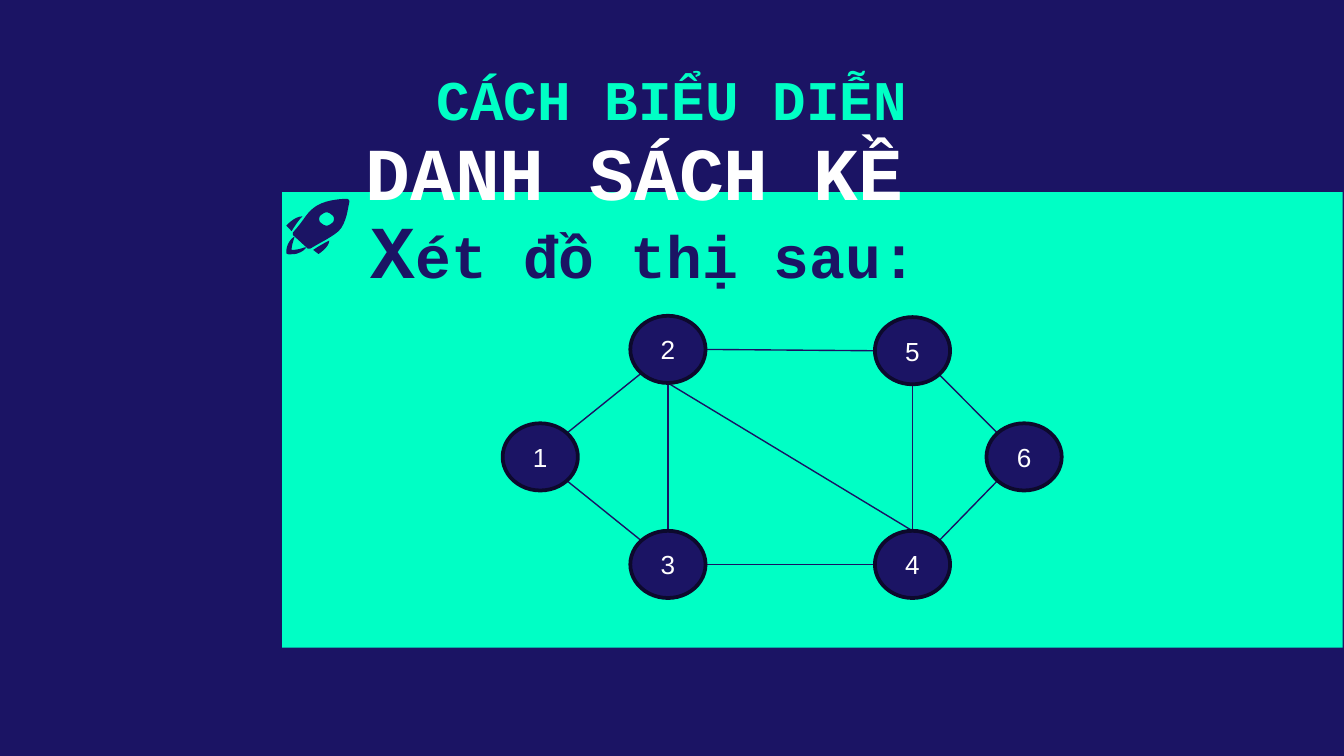
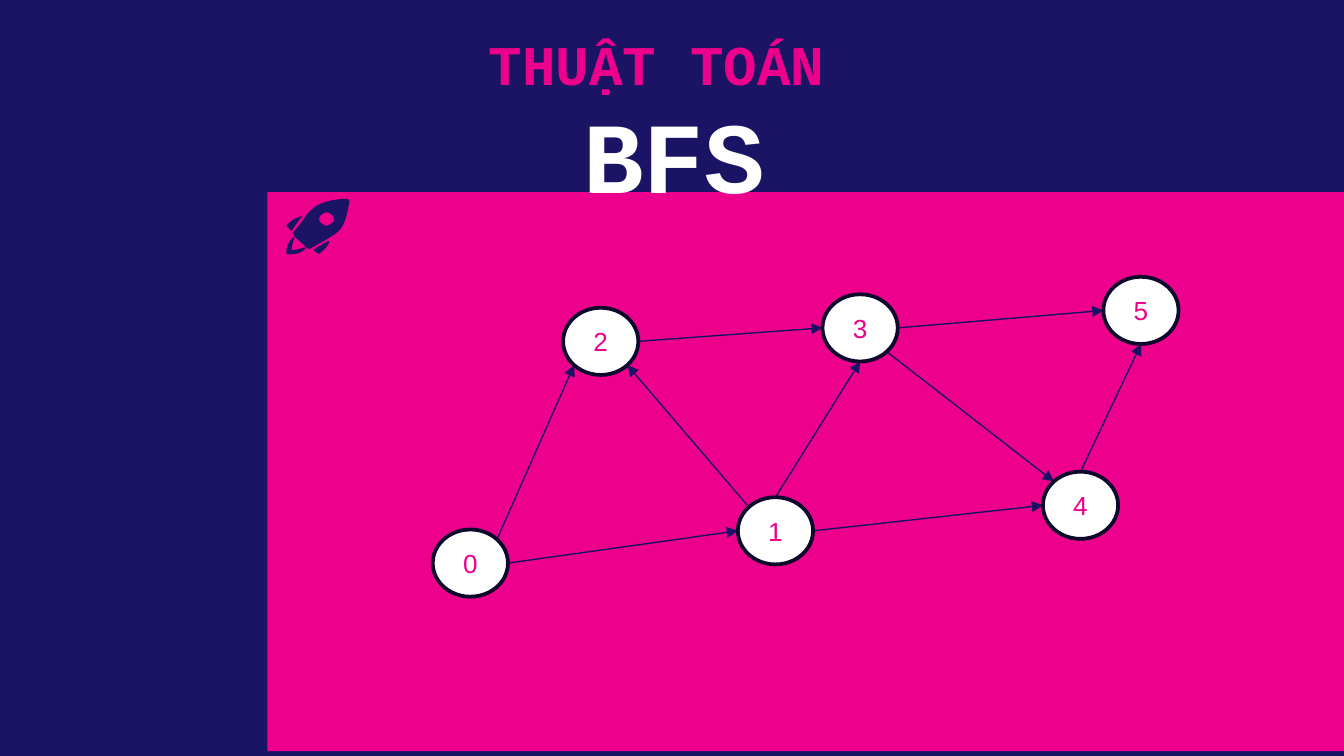
import math

import pptx
import pptx.dml.color
import pptx.enum.shapes
import pptx.enum.text
import pptx.util
from lxml import etree
from pptx.oxml.ns import qn

Inches = pptx.util.Inches
Pt = pptx.util.Pt
RGBColor = pptx.dml.color.RGBColor
PP_ALIGN = pptx.enum.text.PP_ALIGN
MSO_ANCHOR = pptx.enum.text.MSO_ANCHOR
MSO_SHAPE = pptx.enum.shapes.MSO_SHAPE

# Colours and fonts
NAVY = RGBColor(0x1B, 0x14, 0x64)
EDGE_NAVY = RGBColor(0x19, 0x12, 0x64)
OUTLINE = RGBColor(0x0C, 0x09, 0x2C)
MINT = RGBColor(0x00, 0xFF, 0xC5)
PINK = RGBColor(0xEC, 0x00, 0x8C)
WHITE = RGBColor(0xFF, 0xFF, 0xFF)
HEADING_FONT = "Courier New"
NODE_FONT = "Arial"

# Graph geometry: node size and the points where edges meet a node
NODE_W, NODE_H = 0.56, 0.5
DIAGONAL = math.sqrt(0.5)
SITES = {
    "N": (0, -1), "S": (0, 1), "E": (1, 0), "W": (-1, 0),
    "NE": (DIAGONAL, -DIAGONAL), "NW": (-DIAGONAL, -DIAGONAL),
    "SE": (DIAGONAL, DIAGONAL), "SW": (-DIAGONAL, DIAGONAL),
}

# Rocket outlines: a start point, then lines (2 numbers) and curves (6 numbers)
UPPER_FIN = [[(2.25, 1.61), (2.19, 1.61, 2.13, 1.68, 2.13, 1.68), (2.17, 1.72),
              (2.2, 1.67, 2.23, 1.63, 2.25, 1.61)]]
LOWER_FIN = [[(2.45, 1.79), (2.43, 1.8, 2.39, 1.82, 2.33, 1.86), (2.37, 1.89),
              (2.37, 1.89, 2.45, 1.84, 2.45, 1.79)]]
FLAME = [[(2.19, 1.76), (2.15, 1.79, 2.13, 1.83, 2.13, 1.88),
          (2.13, 1.9, 2.17, 1.89, 2.2, 1.89), (2.23, 1.88, 2.26, 1.87, 2.28, 1.84),
          (2.27, 1.84), (2.24, 1.85, 2.21, 1.86, 2.17, 1.86),
          (2.17, 1.83, 2.18, 1.8, 2.19, 1.77)]]
HULL = [[(2.43, 1.58), (2.44, 1.58, 2.46, 1.59, 2.47, 1.6),
         (2.49, 1.61, 2.49, 1.65, 2.47, 1.66), (2.46, 1.67, 2.44, 1.68, 2.43, 1.68),
         (2.42, 1.68, 2.4, 1.67, 2.39, 1.66), (2.37, 1.65, 2.37, 1.61, 2.39, 1.6),
         (2.4, 1.59, 2.42, 1.58, 2.43, 1.58)],
        [(2.58, 1.48), (2.53, 1.48, 2.4, 1.49, 2.33, 1.55),
         (2.27, 1.6, 2.27, 1.63, 2.18, 1.73), (2.18, 1.75), (2.29, 1.85),
         (2.31, 1.85), (2.41, 1.79, 2.46, 1.77, 2.52, 1.72),
         (2.58, 1.66, 2.59, 1.54, 2.6, 1.5), (2.6, 1.49, 2.59, 1.48, 2.58, 1.48)]]
ROCKET = [UPPER_FIN, LOWER_FIN, FLAME, HULL]


def style_font(font, size, color, name=HEADING_FONT, bold=True):
    font.name, font.size, font.bold = name, Pt(size), bold
    font.color.rgb = color


def place(shape, left, top, width, height):
    shape.left, shape.top = Inches(left), Inches(top)
    shape.width, shape.height = Inches(width), Inches(height)


def prepare_frame(shape, margin_y=0, anchor=MSO_ANCHOR.BOTTOM):
    frame = shape.text_frame
    frame.auto_size = pptx.enum.text.MSO_AUTO_SIZE.NONE
    frame.word_wrap = True
    frame.vertical_anchor = anchor
    frame.margin_left = frame.margin_right = Inches(0.1)
    frame.margin_top = frame.margin_bottom = Inches(margin_y)
    return frame


def fill_heading(placeholder, text, box, size, color, align, **frame_options):
    place(placeholder, *box)
    paragraph = prepare_frame(placeholder, **frame_options).paragraphs[0]
    paragraph.text = text
    paragraph.alignment = align
    paragraph.space_before = Pt(0)
    paragraph.line_spacing = 1.0
    style_font(paragraph.font, size, color)


def add_band(slide, box, color):
    band = slide.shapes.add_shape(MSO_SHAPE.RECTANGLE, *map(Inches, box))
    band.shadow.inherit = False
    band.fill.solid()
    band.fill.fore_color.rgb = color
    band.line.fill.background()
    # Behind the headings
    slide.shapes._spTree.insert(2, band._element)


def trace(contour, steps=8):
    """Turn lines and cubic curves into a list of points."""
    points = [contour[0]]
    for segment in contour[1:]:
        if len(segment) == 2:
            points.append(segment)
            continue
        xs, ys = ([points[-1][axis], *segment[axis::2]] for axis in (0, 1))
        for step in range(1, steps + 1):
            t = step / steps
            weights = ((1 - t) ** 3, 3 * t * (1 - t) ** 2, 3 * t * t * (1 - t), t ** 3)
            points.append(tuple(sum(w * v for w, v in zip(weights, values))
                                for values in (xs, ys)))
    return [(Inches(x), Inches(y)) for x, y in points]


def add_rocket(slide):
    rocket = slide.shapes.add_group_shape()
    for contours in ROCKET:
        first, *others = map(trace, contours)
        builder = rocket.shapes.build_freeform(*first[0])
        builder.add_line_segments(first[1:], close=True)
        for points in others:
            builder.move_to(*points[0])
            builder.add_line_segments(points[1:], close=True)
        part = builder.convert_to_shape()
        part.shadow.inherit = False
        part.fill.solid()
        part.fill.fore_color.rgb = NAVY
        part.line.fill.background()


def add_node(graph, label, left, top, fill, text_color):
    node = graph.shapes.add_shape(MSO_SHAPE.OVAL, *map(Inches, (left, top, NODE_W, NODE_H)))
    node.shadow.inherit = False
    node.fill.solid()
    node.fill.fore_color.rgb = fill
    node.line.color.rgb = OUTLINE
    node.line.width = Pt(2)
    node.text_frame.vertical_anchor = MSO_ANCHOR.MIDDLE
    paragraph = node.text_frame.paragraphs[0]
    paragraph.text = label
    paragraph.alignment = PP_ALIGN.CENTER
    style_font(paragraph.font, 14, text_color, NODE_FONT, bold=False)


def site_point(corner, site):
    dx, dy = SITES[site]
    return (Inches(corner[0] + NODE_W / 2 * (1 + dx)),
            Inches(corner[1] + NODE_H / 2 * (1 + dy)))


def add_edge(graph, start, end, directed):
    edge = graph.shapes.add_connector(pptx.enum.shapes.MSO_CONNECTOR.STRAIGHT, *start, *end)
    edge.line.color.rgb = EDGE_NAVY
    edge.line.width = Pt(0.75)
    if directed:
        etree.SubElement(edge.line._get_or_add_ln(), qn("a:tailEnd"), type="triangle")
    etree.SubElement(edge._element.spPr, qn("a:effectLst"))


def add_graph(slide, nodes, edges, fill, text_color, directed=False):
    """Edges read "node site node site"."""
    graph = slide.shapes.add_group_shape()
    for edge in edges:
        source, out_site, target, in_site = edge.split()
        add_edge(graph, site_point(nodes[source], out_site),
                 site_point(nodes[target], in_site), directed)
    for label, corner in nodes.items():
        add_node(graph, label, *corner, fill, text_color)


def add_prompt(slide):
    prompt = slide.shapes.add_textbox(*map(Inches, (2.66, 1.53, 6.49, 0.65)))
    paragraph = prepare_frame(prompt).paragraphs[0]
    paragraph.line_spacing = 1.07
    paragraph.space_after = Pt(8)
    for text, size in (("X", 40), ("ét đồ thị sau:", 32)):
        run = paragraph.add_run()
        run.text = text
        style_font(run.font, size, NAVY)


def add_topic_slide(deck, accent, band, topic, topic_box, name, name_box, name_size):
    slide = deck.slides.add_slide(deck.slide_layouts[0])
    slide.background.fill.solid()
    slide.background.fill.fore_color.rgb = NAVY
    fill_heading(slide.shapes.title, topic, topic_box, 30, accent, PP_ALIGN.CENTER,
                 margin_y=0.1, anchor=MSO_ANCHOR.TOP)
    fill_heading(slide.placeholders[1], name, name_box, name_size, WHITE, PP_ALIGN.LEFT)
    add_band(slide, band, accent)
    add_rocket(slide)
    return slide


def main():
    deck = pptx.Presentation()
    # Widescreen, 16 to 9
    deck.slide_width = Inches(10)
    deck.slide_height = Inches(10) * 9 // 16

    # Adjacency list: undirected graph
    adjacency = add_topic_slide(
        deck, MINT, (2.1, 1.43, 7.89, 3.39),
        "CÁCH BIỂU DIỄN", (1.4, 0.38, 7.2, 0.73),
        "DANH SÁCH KỀ", (2.62, 0.81, 5.39, 0.79), 40)
    add_prompt(adjacency)
    add_graph(
        adjacency,
        {"1": (3.74, 3.15), "2": (4.69, 2.35), "3": (4.69, 3.95),
         "4": (6.51, 3.95), "5": (6.51, 2.36), "6": (7.34, 3.15)},
        ["1 NE 2 SW", "1 SE 3 NW", "2 S 3 N", "2 S 4 N", "2 E 5 W",
         "3 E 4 W", "5 S 4 N", "4 NE 6 SW", "5 SE 6 NW"],
        NAVY, WHITE)

    # BFS: directed graph
    bfs = add_topic_slide(
        deck, PINK, (1.99, 1.43, 8.01, 4.16),
        "THUẬT TOÁN ", (1.41, 0.12, 7.2, 0.73),
        "BFS", (4.24, 0.74, 4.02, 0.85), 54)
    add_graph(
        bfs,
        {"0": (3.22, 3.94), "1": (5.49, 3.7), "2": (4.19, 2.29),
         "3": (6.12, 2.19), "4": (7.76, 3.51), "5": (8.21, 2.06)},
        ["0 NE 2 SW", "0 E 1 W", "1 NW 2 SE", "1 N 3 S", "1 E 4 W",
         "2 E 3 W", "3 E 5 W", "3 SE 4 NW", "4 N 5 S"],
        WHITE, PINK, directed=True)

    deck.save("out.pptx")


if __name__ == "__main__":
    main()
